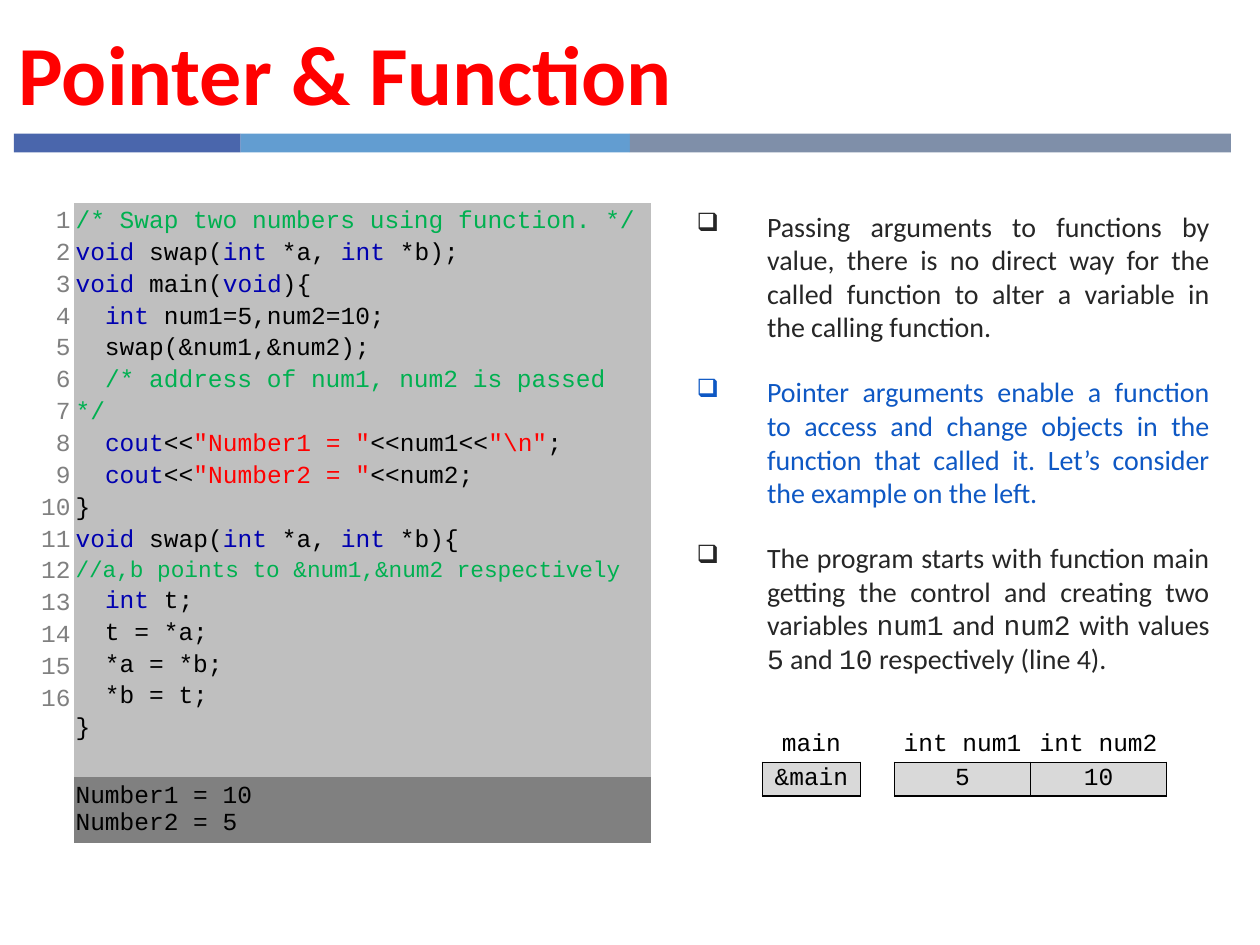
from lxml import etree
from pptx import Presentation
from pptx import util as u
from pptx.dml import color
from pptx.enum import shapes, text
from pptx.oxml import ns

SANS, MONO = "Calibri", "Courier New"
BLACK, INK, BLUE, RED = "000000", "262626", "0E58C4", "FF0000"
KEYWORD, COMMENT, NUMBER = "0000B0", "00B050", "808080"
CODE_FILL, OUTPUT_FILL, CELL_FILL = "BFBFBF", "808080", "D9D9D9"
NO_STYLE = "{2D5ABB26-0587-4C30-8999-92F81FD0307C}"

VOID, INT, COUT = ("void", KEYWORD), ("int", KEYWORD), ("cout", KEYWORD)
CODE = [
    [("/* Swap two numbers using function. */", COMMENT)],
    [VOID, " swap(", INT, " *a, ", INT, " *b);"],
    [VOID, " main(", VOID, "){"],
    ["  ", INT, " num1=5,num2=10;"],
    ["  swap(&num1,&num2);"],
    ["  ", ("/* address of num1, num2 is passed */", COMMENT)],
    ["  ", COUT, "<<", ('"Number1 = "', RED), "<<num1<<", ('"\\n"', RED), ";"],
    ["  ", COUT, "<<", ('"Number2 = "', RED), "<<num2;"],
    ["}"],
    [VOID, " swap(", INT, " *a, ", INT, " *b){"],
    [("//a,b points to &num1,&num2 respectively", COMMENT, 13)],
    ["  ", INT, " t;"],
    ["  t = *a;"],
    ["  *a = *b;"],
    ["  *b = t;"],
    ["}"],
]
POINTS = [
    (INK, ["Passing arguments to functions by value, there is no direct way for the "
           "called function to alter a variable in the calling function."]),
    (BLUE, ["Pointer arguments enable a function to access and change objects in the "
            "function that called it. Let’s consider the example on the left."]),
    (INK, ["The program starts with function main getting the control and creating two variables ",
           "num1", " and ", "num2", " with values ", "5", " and ", "10",
           " respectively (line 4)."]),
]
MEMORY = [["main", "", "int num1", "int num2"], ["&main", "", "5", "10"]]


def rgb(value):
    """Return the colour for a hex string."""
    return color.RGBColor.from_string(value)


def add_span(para, content, hue=BLACK, size=14, font=MONO, bold=False):
    """Add one formatted run to a paragraph."""
    span = para.add_run()
    span.text = content
    span.font.name, span.font.size, span.font.bold = font, u.Pt(size), bold
    span.font.color.rgb = rgb(hue)


def next_para(frame, index):
    """Return the first paragraph of a frame, or a new one."""
    return frame.add_paragraph() if index else frame.paragraphs[0]


def fill_solid(target, hue):
    """Give a shape or cell a solid fill."""
    target.fill.solid()
    target.fill.fore_color.rgb = rgb(hue)


def add_textbox(page, left, top, width, height):
    """Add a wrapping text box and return its frame."""
    box = page.shapes.add_textbox(*map(u.Inches, (left, top, width, height)))
    box.text_frame.word_wrap = True
    return box.text_frame


def add_plain_table(page, left, top, widths, heights):
    """Add a table without style and return it."""
    size = left, top, sum(widths), sum(heights)
    table = page.shapes.add_table(len(heights), len(widths), *map(u.Inches, size)).table
    table.first_row = table.horz_banding = False
    table._tbl.tblPr.find(ns.qn("a:tableStyleId")).text = NO_STYLE
    for column, width in zip(table.columns, widths):
        column.width = u.Inches(width)
    for row, height in zip(table.rows, heights):
        row.height = u.Inches(height)
    return table


def set_margins(cell, left, top, right, bottom):
    """Set the four inner margins of a cell."""
    cell.margin_left, cell.margin_top = u.Inches(left), u.Inches(top)
    cell.margin_right, cell.margin_bottom = u.Inches(right), u.Inches(bottom)


def set_borders(cell, sides):
    """Draw thin black borders on the given sides."""
    props = cell._tc.get_or_add_tcPr()
    for side in sides:
        line = etree.SubElement(props, ns.qn(f"a:ln{side}"), w=str(u.Pt(1)))
        solid = etree.SubElement(line, ns.qn("a:solidFill"))
        etree.SubElement(solid, ns.qn("a:srgbClr"), val=BLACK)


def add_title(page, left, top, width, height):
    """Write the slide title."""
    frame = add_textbox(page, left, top, width, height)
    add_span(frame.paragraphs[0], "Pointer & Function", RED, 48, SANS, True)


def add_rule(page, left, top, height):
    """Draw the three-coloured band below the title."""
    for hue, width in (("4A66AC", 1.8), ("629DD1", 3.09), ("7F8FA9", 4.77)):
        bar = page.shapes.add_shape(shapes.MSO_SHAPE.RECTANGLE,
                                    *map(u.Inches, (left, top, width, height)))
        bar.shadow.inherit = False
        bar.line.fill.background()
        fill_solid(bar, hue)
        left += width


def add_points(page, left, top, width, height):
    """Write the bulleted explanation."""
    frame = add_textbox(page, left, top, width, height)
    for index, (hue, pieces) in enumerate(POINTS):
        para = next_para(frame, index)
        para.alignment = text.PP_ALIGN.JUSTIFY
        para.space_after = u.Pt(18)
        props = para._p.get_or_add_pPr()
        props.set("marL", str(u.Inches(0.56)))
        props.set("indent", str(u.Inches(-0.56)))
        etree.SubElement(props, ns.qn("a:buSzPct"), val="90000")
        etree.SubElement(props, ns.qn("a:buChar"), char="❑")
        for order, piece in enumerate(pieces):
            add_span(para, piece, hue, 16, MONO if order % 2 else SANS)


def write_lines(cell, lines, hue=BLACK, align=text.PP_ALIGN.LEFT):
    """Write monospaced lines into a cell, one paragraph each."""
    for index, spans in enumerate(lines):
        para = next_para(cell.text_frame, index)
        para.alignment, para.line_spacing = align, 1.15
        for span in spans:
            add_span(para, *((span, hue) if isinstance(span, str) else span))


def add_listing(page, left, top):
    """Place the numbered program and its output."""
    table = add_plain_table(page, left, top, (0.28, 4.58), (4.16, 0.5))
    for cell in table.iter_cells():
        set_margins(cell, 0.01, 0.01, 0.03, 0.01)
    numbers = [[str(number)] for number in range(1, len(CODE) + 1)]
    write_lines(table.cell(0, 0), numbers, NUMBER, text.PP_ALIGN.RIGHT)
    program, output = table.cell(0, 1), table.cell(1, 1)
    write_lines(program, CODE)
    write_lines(output, [["Number1 = 10"], ["Number2 = 5"]])
    output.text_frame.paragraphs[1].line_spacing = 1.0
    fill_solid(program, CODE_FILL)
    fill_solid(output, OUTPUT_FILL)


def add_memory(page, left, top):
    """Place the table of variables in memory."""
    table = add_plain_table(page, left, top, (0.78, 0.27, 1.08, 1.08), (0.27, 0.27))
    for row, labels in enumerate(MEMORY):
        for column, label in enumerate(labels):
            cell = table.cell(row, column)
            set_margins(cell, 0.06, 0, 0.06, 0)
            cell.vertical_anchor = text.MSO_ANCHOR.MIDDLE
            para = cell.text_frame.paragraphs[0]
            para.alignment = text.PP_ALIGN.CENTER
            if label:
                add_span(para, label)
                set_borders(cell, "LRTB" if row else "B")
            else:
                etree.SubElement(para._p, ns.qn("a:endParaRPr"), sz="1400")
                set_borders(cell, "LR" if row else "")
            if label and row:
                fill_solid(cell, CELL_FILL)


def main():
    """Build the slide and save the deck."""
    deck = Presentation()
    deck.slide_width, deck.slide_height = u.Inches(10), u.Inches(7.5)
    page = deck.slides.add_slide(deck.slide_layouts[6])
    add_rule(page, 0.11, 1.06, 0.15)
    add_points(page, 5.43, 1.61, 4.27, 4.12)
    add_listing(page, 0.31, 1.61)
    add_memory(page, 6.05, 5.78)
    add_title(page, 0.05, 0.12, 7.16, 0.9)
    deck.save("out.pptx")


if __name__ == "__main__":
    main()
